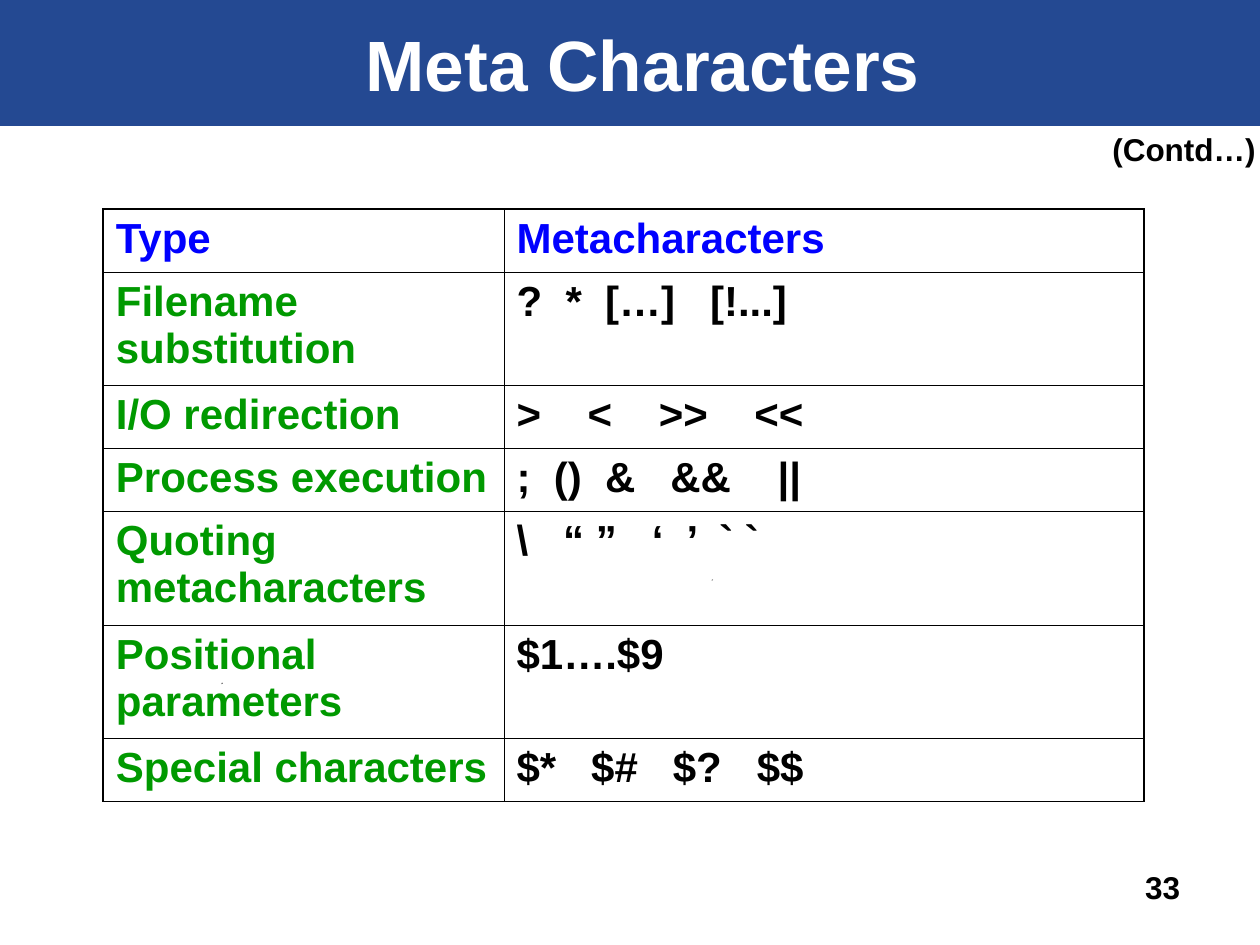
import pptx
import pptx.dml.color
import pptx.enum.shapes
import pptx.enum.text
import pptx.oxml
import pptx.oxml.ns
import pptx.util
from pptx.util import Inches

COLORS = {"banner": "244992", "title": "FFFFFF", "header": "0000FF",
          "type": "009900", "text": "000000"}
TITLE = "Meta Characters"
CONTINUED = "(Contd…)"
PAGE_NUMBER = "33"
ROWS = [
    ("Type", "Metacharacters"),
    ("Filename substitution", "?  *  […]   [!...]"),
    ("I/O redirection", ">    <    >>    <<"),
    ("Process execution", ";  ()  &   &&    ||"),
    ("Quoting metacharacters", "\\   “ ”   ‘  ’  ` `"),
    ("Positional parameters", "$1….$9"),
    ("Special characters", "$*   $#   $?   $$"),
]
COLUMN_WIDTHS = [3.18, 5.08]
ROW_HEIGHTS = [0.5, 0.9, 0.5, 0.5, 0.9, 0.9, 0.5]
OUTER_LINE, INNER_LINE = 1.08, 0.45
SPECKS = [(1.76, 5.42), (1.3, 4.6), (5.65, 4.6)]


def rgb(name):
    return pptx.dml.color.RGBColor.from_string(COLORS[name])


def write(frame, text, size, color, **para_format):
    para = frame.paragraphs[0]
    span = para.add_run()
    span.text = text
    font_format = {"name": "Arial", "size": pptx.util.Pt(size), "bold": True}
    for key, value in font_format.items():
        setattr(span.font, key, value)
    span.font.color.rgb = rgb(color)
    for key, value in para_format.items():
        setattr(para, key, value)


def paint(shape, color):
    shape.shadow.inherit = False
    shape.fill.solid()
    shape.fill.fore_color.rgb = rgb(color)
    shape.line.fill.background()


def add_label(page, text, left, top, width):
    box = page.shapes.add_textbox(*map(Inches, (left, top, width, 0.4)))
    box.text_frame.word_wrap = False
    write(box.text_frame, text, 18, "text")


def set_borders(cell, outer_sides):
    properties = cell._tc.get_or_add_tcPr()
    for index, side in enumerate("LRTB"):
        points = OUTER_LINE if side in outer_sides else INNER_LINE
        properties.insert(index, pptx.oxml.parse_xml(
            f'<a:ln{side} {pptx.oxml.ns.nsdecls("a")} w="{pptx.util.Pt(points)}">'
            f'<a:solidFill><a:srgbClr val="{COLORS["text"]}"/></a:solidFill></a:ln{side}>'))


def add_banner(page):
    banner = page.shapes.add_shape(
        pptx.enum.shapes.MSO_SHAPE.RECTANGLE, 0, 0, Inches(10), Inches(1))
    paint(banner, "banner")
    page.shapes._spTree.insert(2, banner._element)  # behind the title


def add_specks(page):
    for left, top in SPECKS:
        points = [(Inches(left + x), Inches(top + y))
                  for x, y in ((0, 0.01), (0.01, 0), (0, 0))]
        outline = page.shapes.build_freeform(*points[0])
        outline.add_line_segments(points[1:], close=True)
        paint(outline.convert_to_shape(), "text")


def format_title(page):
    title = page.shapes.title
    place = {"left": 0.68, "top": 0.21, "width": 8.84, "height": 0.67}
    for key, value in place.items():
        setattr(title, key, Inches(value))
    frame = title.text_frame
    frame_format = {
        "word_wrap": True,
        "auto_size": pptx.enum.text.MSO_AUTO_SIZE.NONE,
        "vertical_anchor": pptx.enum.text.MSO_ANCHOR.BOTTOM,
    }
    for key, value in frame_format.items():
        setattr(frame, key, value)
    write(frame, TITLE, 40.7, "title", line_spacing=0.76,
          alignment=pptx.enum.text.PP_ALIGN.CENTER)


def add_metacharacter_table(page):
    table = page.shapes.add_table(
        len(ROWS), len(COLUMN_WIDTHS), Inches(0.82), Inches(1.66),
        Inches(sum(COLUMN_WIDTHS)), Inches(sum(ROW_HEIGHTS))).table
    table.first_row = table.horz_banding = False
    for column, width in zip(table.columns, COLUMN_WIDTHS):
        column.width = Inches(width)
    for row, height in zip(table.rows, ROW_HEIGHTS):
        row.height = Inches(height)
    for row, texts in enumerate(ROWS):
        for column, text in enumerate(texts):
            cell = table.cell(row, column)
            color = "header" if row == 0 else ("type", "text")[column]
            write(cell.text_frame, text, 24, color)
            cell.fill.background()
            outer_sides = "LR"[column]
            if row == 0:
                outer_sides += "T"
            if row == len(ROWS) - 1:
                outer_sides += "B"
            set_borders(cell, outer_sides)


def main():
    deck = pptx.Presentation()
    deck.slide_width, deck.slide_height = Inches(10), Inches(7.5)
    page = deck.slides.add_slide(deck.slide_layouts.get_by_name("Title Only"))
    add_banner(page)
    add_specks(page)
    format_title(page)
    add_metacharacter_table(page)
    add_label(page, CONTINUED, 8.73, 0.98, 1.34)
    add_label(page, PAGE_NUMBER, 8.99, 6.84, 1.41)
    deck.save("out.pptx")


if __name__ == "__main__":
    main()
